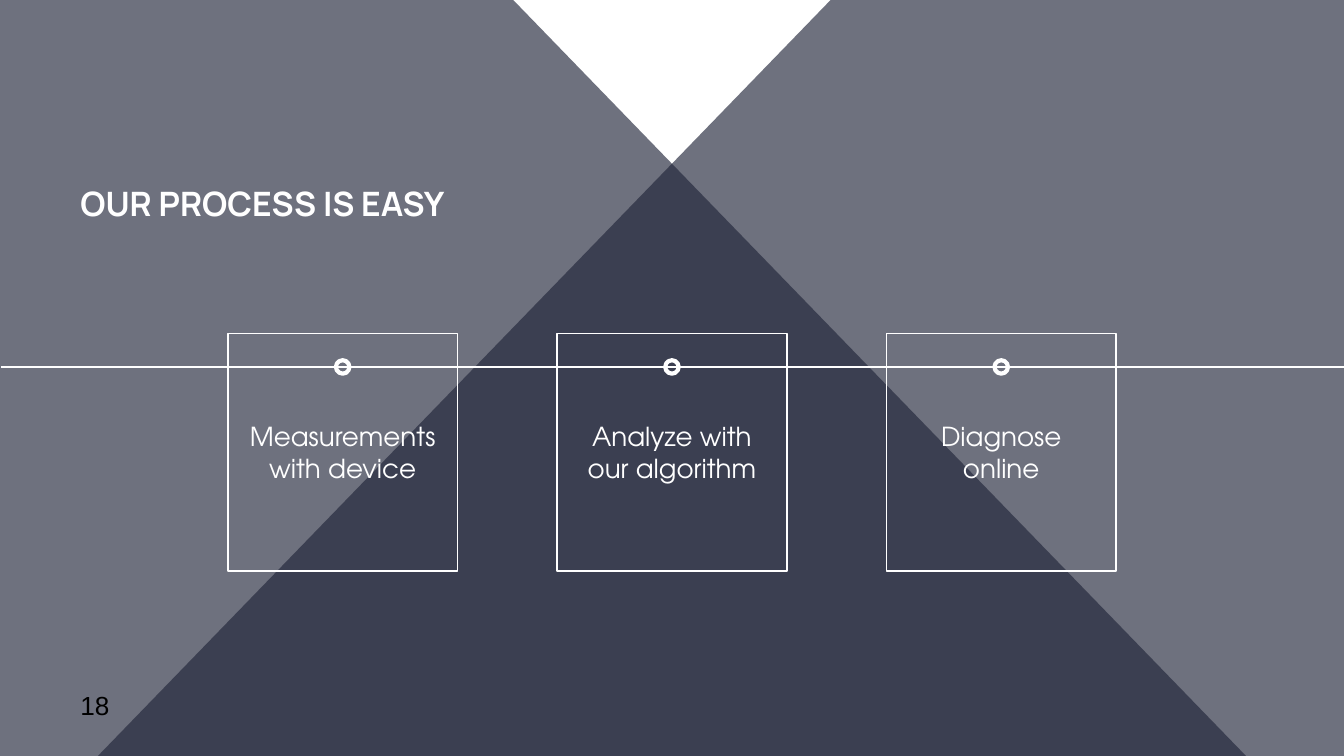
from dataclasses import dataclass

from lxml import etree
from pptx import Presentation
from pptx.dml.color import RGBColor
from pptx.enum.shapes import MSO_CONNECTOR, MSO_SHAPE
from pptx.enum.text import MSO_ANCHOR, PP_ALIGN
from pptx.oxml.ns import qn
from pptx.util import Pt

STRAIGHT = MSO_CONNECTOR.STRAIGHT
OVAL, RECTANGLE = MSO_SHAPE.OVAL, MSO_SHAPE.RECTANGLE
MIDDLE, BOTTOM = MSO_ANCHOR.MIDDLE, MSO_ANCHOR.BOTTOM
LEFT, CENTER = PP_ALIGN.LEFT, PP_ALIGN.CENTER

SLIDE_WIDTH, SLIDE_HEIGHT = 720, 405
STEPS = ["Measurements with device", "Analyze with our algorithm", "Diagnose online"]
STEP_PITCH = 176.4
BOX_TOP, BOX_WIDTH, BOX_HEIGHT = 178.6, 123.1, 127.4
TIMELINE_Y = 196.6
DOT_SIZE = 7.2


@dataclass(frozen=True)
class Theme:
    white: RGBColor = RGBColor(0xFF, 0xFF, 0xFF)
    black: RGBColor = RGBColor(0, 0, 0)
    navy: RGBColor = RGBColor(0x21, 0x25, 0x39)
    panel_opacity: int = 65
    title_font: str = "Manrope"
    body_font: str = "TeX Gyre Adventor"
    number_font: str = "Arial"
    title_size: int = 18
    body_size: int = 14
    thin: float = 0.75
    thick: float = 2.25


class SlideBuilder:
    def __init__(self, slide, theme):
        self.slide = slide
        self.theme = theme

    def panel(self, points):
        builder = self.slide.shapes.build_freeform(
            Pt(points[0][0]), Pt(points[0][1]), scale=1.0
        )
        builder.add_line_segments([(Pt(x), Pt(y)) for x, y in points[1:]], close=True)
        shape = builder.convert_to_shape()
        shape.shadow.inherit = False
        shape.line.fill.background()
        shape.fill.solid()
        shape.fill.fore_color.rgb = self.theme.navy
        color = shape._element.spPr.find(qn("a:solidFill")).find(qn("a:srgbClr"))
        alpha = etree.SubElement(color, qn("a:alpha"))
        alpha.set("val", str(self.theme.panel_opacity * 1000))

    def fill_text(self, shape, text, font, size, color, anchor, align=LEFT, bold=False, inset=7.2):
        frame = shape.text_frame
        frame.word_wrap = True
        frame.vertical_anchor = anchor
        frame.margin_left = frame.margin_right = Pt(inset)
        frame.margin_top = frame.margin_bottom = Pt(7.2)
        frame.text = text
        paragraph = frame.paragraphs[0]
        paragraph.alignment = align
        for run in paragraph.runs:
            run.font.name = font
            run.font.size = Pt(size)
            run.font.bold = bold
            run.font.color.rgb = color

    def text(self, left, top, width, height, *content, **style):
        shape = self.slide.shapes.add_textbox(Pt(left), Pt(top), Pt(width), Pt(height))
        self.fill_text(shape, *content, **style)

    def outline(self, kind, left, top, width, height, weight):
        shape = self.slide.shapes.add_shape(kind, Pt(left), Pt(top), Pt(width), Pt(height))
        shape.shadow.inherit = False
        shape.fill.background()
        shape.line.color.rgb = self.theme.white
        shape.line.width = Pt(weight)
        return shape

    def timeline(self, y):
        line = self.slide.shapes.add_connector(
            STRAIGHT, Pt(0.5), Pt(y), Pt(SLIDE_WIDTH), Pt(y)
        )
        line.line.color.rgb = self.theme.white
        line.line.width = Pt(self.theme.thin)
        etree.SubElement(line._element.spPr, qn("a:effectLst"))

    def dot(self, center):
        self.outline(OVAL, center - DOT_SIZE / 2, TIMELINE_Y - DOT_SIZE / 2,
                     DOT_SIZE, DOT_SIZE, self.theme.thick)

    def step(self, center, text):
        theme = self.theme
        shape = self.outline(RECTANGLE, center - BOX_WIDTH / 2, BOX_TOP,
                             BOX_WIDTH, BOX_HEIGHT, theme.thin)
        self.fill_text(shape, text, theme.body_font, theme.body_size, theme.white,
                       MIDDLE, align=CENTER, inset=8)


def main():
    presentation = Presentation()
    presentation.slide_width = Pt(SLIDE_WIDTH)
    presentation.slide_height = Pt(SLIDE_HEIGHT)
    slide = presentation.slides.add_slide(presentation.slide_layouts[6])
    theme = Theme()
    builder = SlideBuilder(slide, theme)

    right_panel = [(445.5, -0.5), (SLIDE_WIDTH, 0), (SLIDE_WIDTH, SLIDE_HEIGHT),
                   (52.5, SLIDE_HEIGHT)]
    builder.panel(right_panel)
    builder.panel([(SLIDE_WIDTH - x, y) for x, y in right_panel])

    builder.text(36, 87.1, 223.2, 39.6, "OUR PROCESS IS EASY", theme.title_font,
                 theme.title_size, theme.white, BOTTOM, bold=True)
    builder.text(36, 368, 43.2, 19.4, "18", theme.number_font,
                 theme.body_size, theme.black, MIDDLE)

    builder.timeline(TIMELINE_Y)
    centers = [SLIDE_WIDTH / 2 + (index - 1) * STEP_PITCH for index in range(len(STEPS))]
    for center, text in zip(centers, STEPS):
        builder.dot(center)
        builder.step(center, text)

    presentation.save("out.pptx")


if __name__ == "__main__":
    main()
